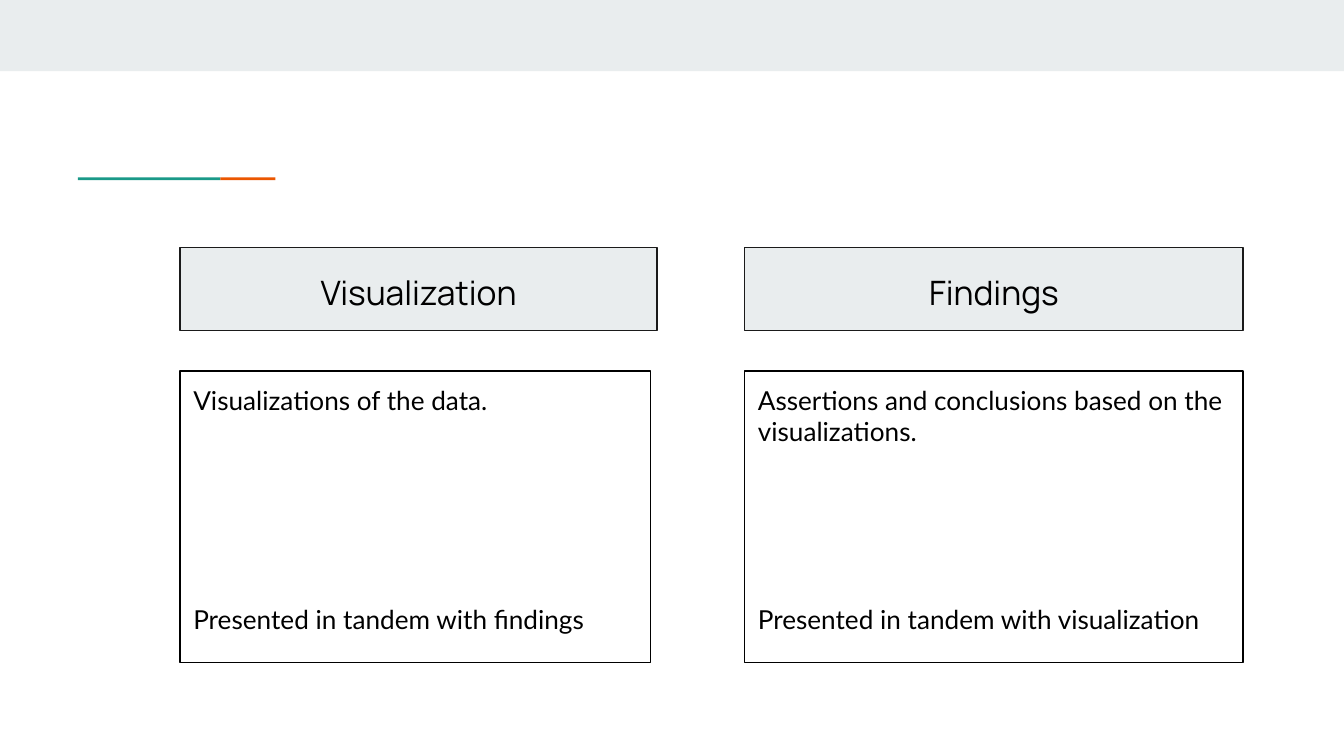
from pptx import Presentation
from pptx.dml.color import RGBColor
from pptx.enum import shapes, text
from pptx.util import Inches, Pt

BLACK = RGBColor(0x00, 0x00, 0x00)
INK = RGBColor(0x1A, 0x1A, 0x1A)
MIST = RGBColor(0xE9, 0xED, 0xEE)
TEAL = RGBColor(0x1A, 0x99, 0x88)
ORANGE = RGBColor(0xEB, 0x56, 0x00)

# left, header width, body width, heading, opening, closing, gap in lines
COLUMNS = [
    (1.34, 3.55, 3.5, "Visualization", "Visualizations of the data.",
     "Presented in tandem with findings", 6),
    (5.54, 3.71, 3.71, "Findings",
     "Assertions and conclusions based on the visualizations.",
     "Presented in tandem with visualization", 5),
]
DECORATION = [
    (0, 0, 10, 0.53, MIST),
    (0.58, 1.32, 1.06, 0.02, TEAL),
    (1.64, 1.32, 0.41, 0.02, ORANGE),
]
HEADER_TOP, HEADER_HEIGHT = 1.84, 0.62
BODY_TOP, BODY_HEIGHT = 2.76, 2.17
LINE_PITCH = 16.8  # points per line of 14 pt Lato


def add_box(s, left, top, width, height, fill=None, line=None):
    sp = s.shapes.add_shape(shapes.MSO_SHAPE.RECTANGLE, Inches(left),
                            Inches(top), Inches(width), Inches(height))
    sp.shadow.inherit = False
    if fill is None:
        sp.fill.background()
    else:
        sp.fill.solid()
        sp.fill.fore_color.rgb = fill
    if line is None:
        sp.line.fill.background()
    else:
        sp.line.color.rgb = line
        sp.line.width = Pt(0.75)
    return sp


def prepare_text(sp, anchor):
    tf = sp.text_frame
    tf.word_wrap = True
    tf.vertical_anchor = anchor
    tf.margin_left = tf.margin_right = Inches(0.1)
    tf.margin_top = tf.margin_bottom = Inches(0.1)
    return tf


def add_run(p, words, font, size, align):
    p.alignment = align
    r = p.add_run()
    r.text = words
    r.font.name = font
    r.font.size = Pt(size)
    r.font.color.rgb = BLACK


prs = Presentation()
prs.slide_width = Inches(10)
prs.slide_height = prs.slide_width * 9 // 16
s = prs.slides.add_slide(prs.slide_layouts[6])

for left, top, width, height, color in DECORATION:
    add_box(s, left, top, width, height, fill=color)

for left, header_width, body_width, heading, opening, closing, gap in COLUMNS:
    header = add_box(s, left, HEADER_TOP, header_width, HEADER_HEIGHT, MIST, INK)
    p = prepare_text(header, text.MSO_ANCHOR.MIDDLE).paragraphs[0]
    p.line_spacing = 1.15
    p.space_before = p.space_after = Pt(11)
    add_run(p, heading, "Manrope", 18, text.PP_ALIGN.CENTER)

    body = add_box(s, left, BODY_TOP, body_width, BODY_HEIGHT, line=BLACK)
    tf = prepare_text(body, text.MSO_ANCHOR.TOP)
    add_run(tf.paragraphs[0], opening, "Lato", 14, text.PP_ALIGN.LEFT)
    p = tf.add_paragraph()
    p.space_before = Pt(gap * LINE_PITCH)
    add_run(p, closing, "Lato", 14, text.PP_ALIGN.LEFT)

prs.save("out.pptx")
